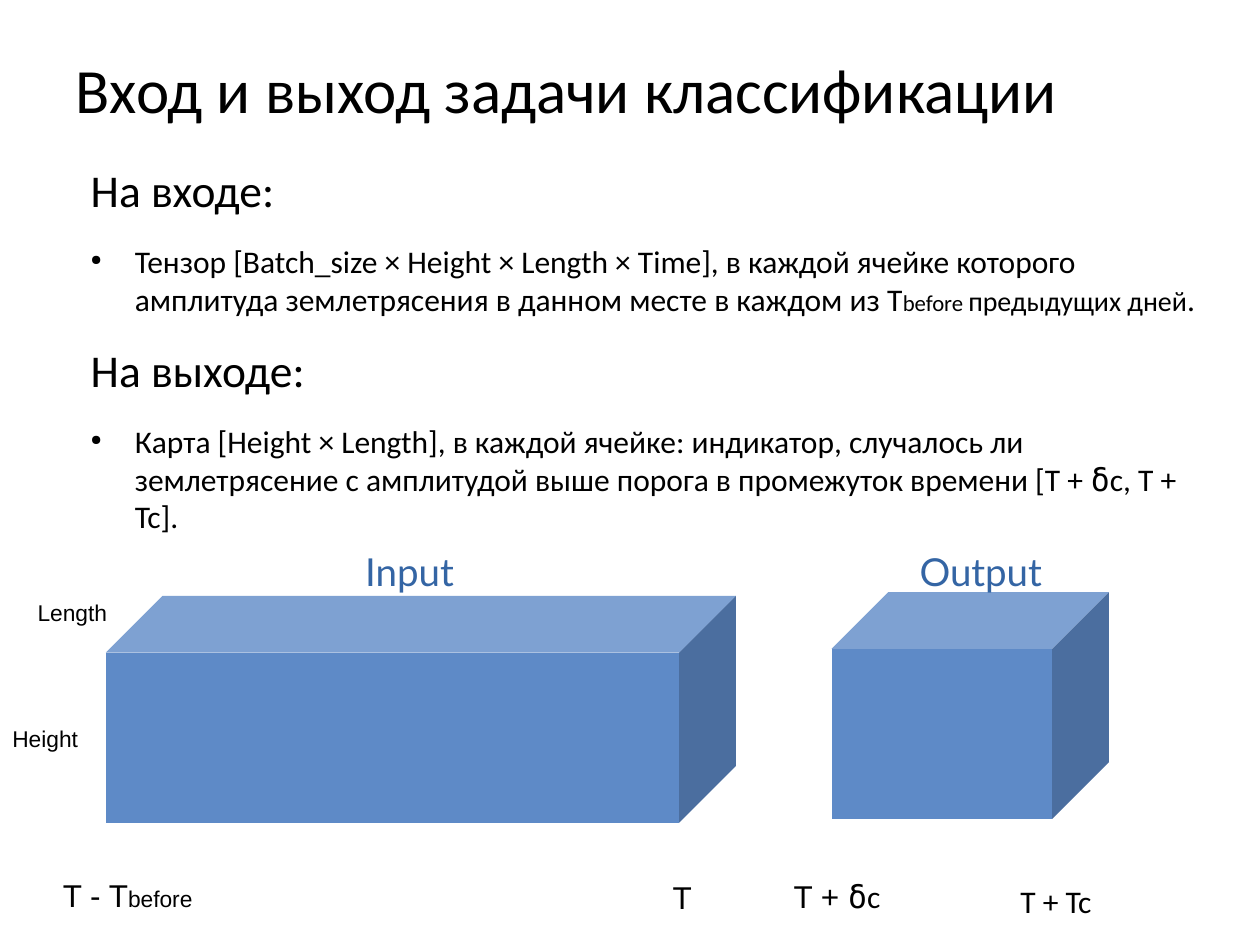
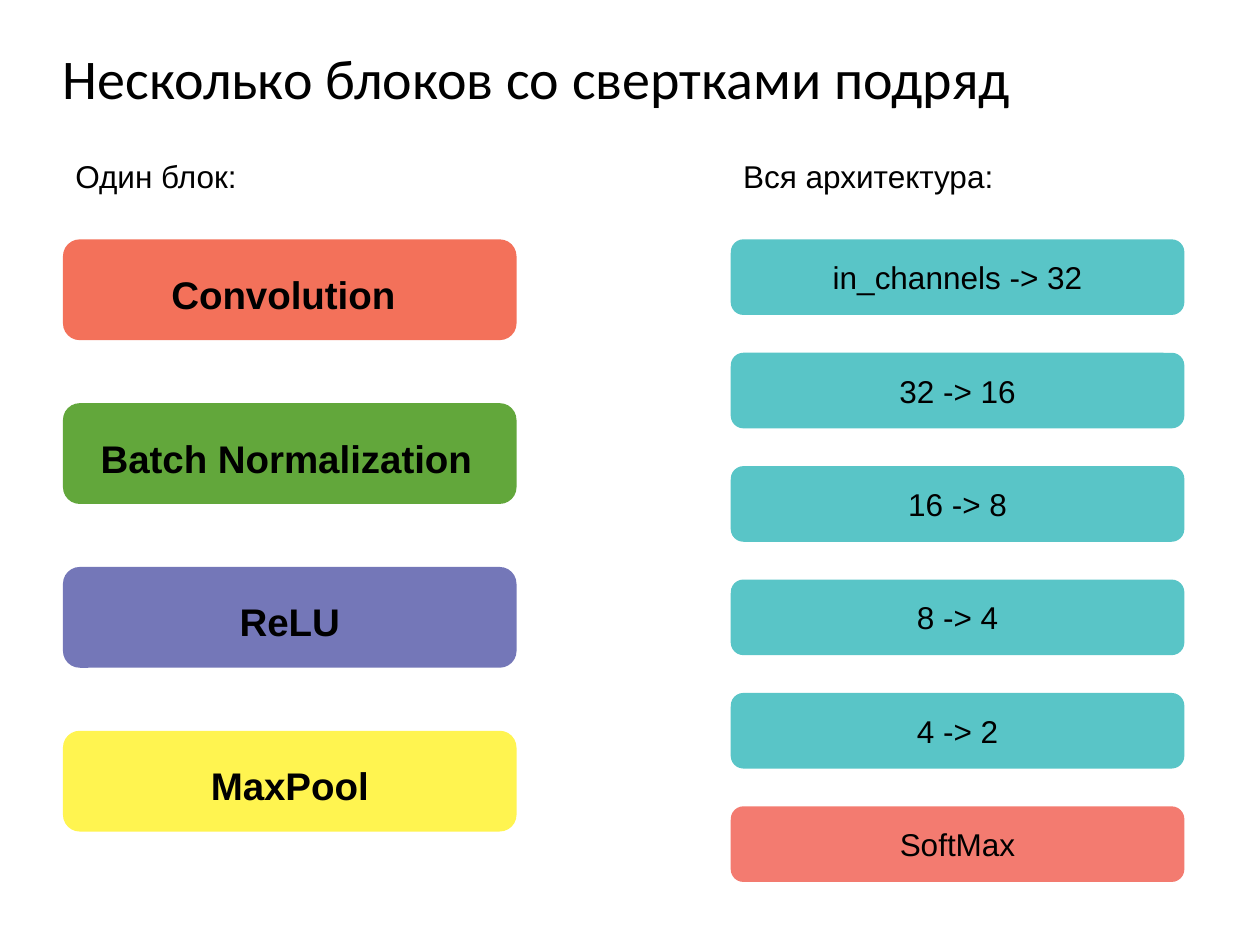
"""Build two slides on the input, output and architecture of an earthquake classifier."""
from dataclasses import dataclass

from lxml.etree import SubElement
from pptx import Presentation
from pptx.dml.color import RGBColor
from pptx.enum.shapes import MSO_SHAPE
from pptx.enum.text import MSO_ANCHOR, PP_ALIGN
from pptx.oxml.ns import qn
from pptx.util import Pt

PX = 9144


@dataclass(frozen=True)
class Theme:
    ink: str = "000000"
    caption: str = "3465A4"
    cube: str = "5E8AC7"
    stage: str = "59C5C7"
    final: str = "F37B70"
    sans: str = "Arial"
    body: str = "Calibri"
    greek: str = "DejaVu Sans Mono"
    display: str = "Lato"
    heading: int = 26
    large: int = 22
    normal: int = 18
    medium: int = 16
    small: int = 13
    paragraph_gap: float = 14.2
    bullet_percent: int = 45
    corner: float = 0.167


THEME = Theme()
LEFT, CENTER = PP_ALIGN.LEFT, PP_ALIGN.CENTER

TENSOR_TITLE = ("Вход и выход задачи классификации", 36, (60, 10, 850, 120))
BODY_AREA = (60, 129, 900, 530)
BODY = [
    (False, [("На входе:", THEME.heading, THEME.body)]),
    (True, [
        ("Тензор [Batch_size × Height × Length × Time], в каждой ячейке которого "
         "амплитуда землетрясения в данном месте в каждом из T", THEME.normal, THEME.body),
        ("before ", THEME.small, THEME.body),
        ("предыдущих дней", THEME.medium, THEME.body),
        (".", THEME.normal, THEME.body),
    ]),
    (False, [("На выходе:", THEME.heading, THEME.body)]),
    (True, [
        ("Карта [Height × Length], в каждой ячейке: индикатор, случалось ли "
         "землетрясение с амплитудой выше порога в промежуток времени [T + ",
         THEME.normal, THEME.body),
        ("δ", THEME.normal, THEME.greek),
        ("c, T + Tc].", THEME.normal, THEME.body),
    ]),
]
CUBES = [(84, 473, 500, 180), (660, 470, 220, 180)]
AXIS_LABELS = [
    ((20, 470, 80, 30), [("Length", THEME.small, THEME.sans)]),
    ((0, 570, 80, 30), [("Height", THEME.small, THEME.sans)]),
    ((40, 690, 130, 38), [("T - T", THEME.normal, THEME.sans),
                          ("before", THEME.small, THEME.sans)]),
    ((524, 692, 40, 38), [("T", THEME.normal, THEME.sans)]),
    ((620, 691, 90, 39), [("T + ", THEME.normal, THEME.sans),
                          ("δ", THEME.normal, THEME.greek),
                          ("c", THEME.normal, THEME.body)]),
    ((800, 695, 90, 35), [("T + Tc", THEME.normal, THEME.body)]),
]
CUBE_CAPTIONS = [("Input", (280, 430, 100, 40)), ("Output", (720, 430, 130, 40))]

NETWORK_TITLE = ("Несколько блоков со свертками подряд", 32, (50, 26, 850, 70))
COLUMN_HEADINGS = [("Один блок:", (50, 120, 180, 38)),
                   ("Вся архитектура:", (580, 120, 235, 38))]
LAYERS = [
    ("Convolution", "F3715A", 70, 310, CENTER),
    ("Batch Normalization", "62A73B", 70, 330, LEFT),
    ("ReLU", "7477B8", 60, 340, CENTER),
    ("MaxPool", "FFF450", 70, 320, CENTER),
]
STAGES = ["in_channels -> 32", "32 -> 16", "16 -> 8", "8 -> 4", "4 -> 2", "SoftMax"]
BLOCK_LEFT, STAGE_LEFT, COLUMN_TOP, COLUMN_WIDTH = 50, 580, 190, 360
LAYER_HEIGHT, LAYER_STEP = 80, 130
STAGE_HEIGHT, STAGE_STEP = 60, 90


def emu(area):
    return [length * PX for length in area]


def write_spans(para, spans, color=THEME.ink, bold=False):
    for text, size, font in spans:
        span = para.add_run()
        span.text = text
        span.font.size = Pt(size)
        span.font.name = font
        span.font.bold = bold
        span.font.color.rgb = RGBColor.from_string(color)


def set_insets(frame, across, down):
    frame.margin_left = frame.margin_right = across * PX
    frame.margin_top = frame.margin_bottom = down * PX


def add_frame(slide, area, across=0, down=0):
    frame = slide.shapes.add_textbox(*emu(area)).text_frame
    frame.word_wrap = True
    set_insets(frame, across, down)
    return frame


def add_label(slide, area, spans, align=LEFT, **style):
    para = add_frame(slide, area, 10, 5).paragraphs[0]
    para.alignment = align
    write_spans(para, spans, **style)


def add_title(slide, title):
    text, size, area = title
    frame = add_frame(slide, area)
    frame.vertical_anchor = MSO_ANCHOR.MIDDLE
    write_spans(frame.paragraphs[0], [(text, size, THEME.body)])


def add_solid(slide, kind, area, color, adjustment):
    shape = slide.shapes.add_shape(kind, *emu(area))
    shape.adjustments[0] = adjustment
    shape.fill.solid()
    shape.fill.fore_color.rgb = RGBColor.from_string(color)
    shape.line.fill.background()
    shape.shadow.inherit = False
    return shape


def add_block(slide, area, color):
    return add_solid(slide, MSO_SHAPE.ROUNDED_RECTANGLE, area, color, THEME.corner)


def indent(para, margin, first_line):
    properties = para._p.get_or_add_pPr()
    properties.set("marL", str(margin * PX))
    properties.set("indent", str(first_line * PX))
    return properties


def add_bullet(properties):
    color = SubElement(properties, qn("a:buClr"))
    SubElement(color, qn("a:srgbClr"), val=THEME.ink)
    SubElement(properties, qn("a:buSzPct"), val=str(THEME.bullet_percent * 1000))
    SubElement(properties, qn("a:buChar"), char="●")


def add_body(slide):
    frame = add_frame(slide, BODY_AREA)
    for index, (bulleted, spans) in enumerate(BODY):
        para = frame.add_paragraph() if index else frame.paragraphs[0]
        para.space_before = Pt(THEME.paragraph_gap)
        if bulleted:
            add_bullet(indent(para, 47, -35))
        else:
            indent(para, 12, 0)
        write_spans(para, spans)


def build_tensor_slide(slide):
    add_body(slide)
    add_title(slide, TENSOR_TITLE)
    for area in CUBES:
        add_solid(slide, MSO_SHAPE.CUBE, area, THEME.cube, 0.25)
    for area, spans in AXIS_LABELS:
        add_label(slide, area, spans)
    for text, area in CUBE_CAPTIONS:
        add_label(slide, area, [(text, THEME.large, THEME.display)], color=THEME.caption)


def build_network_slide(slide):
    add_title(slide, NETWORK_TITLE)
    for text, area in COLUMN_HEADINGS:
        add_label(slide, area, [(text, THEME.normal, THEME.sans)])
    for row, (name, color, left, width, align) in enumerate(LAYERS):
        top = COLUMN_TOP + row * LAYER_STEP
        add_block(slide, (BLOCK_LEFT, top, COLUMN_WIDTH, LAYER_HEIGHT), color)
        add_label(slide, (left, top + 20, width, 44),
                  [(name, THEME.large, THEME.sans)], align, bold=True)
    for row, name in enumerate(STAGES):
        area = (STAGE_LEFT, COLUMN_TOP + row * STAGE_STEP, COLUMN_WIDTH, STAGE_HEIGHT)
        color = THEME.final if name == STAGES[-1] else THEME.stage
        frame = add_block(slide, area, color).text_frame
        frame.word_wrap = False
        frame.vertical_anchor = MSO_ANCHOR.MIDDLE
        set_insets(frame, 10, 5)
        frame.paragraphs[0].alignment = CENTER
        write_spans(frame.paragraphs[0], [(name, THEME.normal, THEME.sans)])


def main():
    deck = Presentation()
    deck.slide_width, deck.slide_height = emu((1000, 750))
    for build in (build_tensor_slide, build_network_slide):
        build(deck.slides.add_slide(deck.slide_layouts[6]))
    deck.save("out.pptx")


if __name__ == "__main__":
    main()
